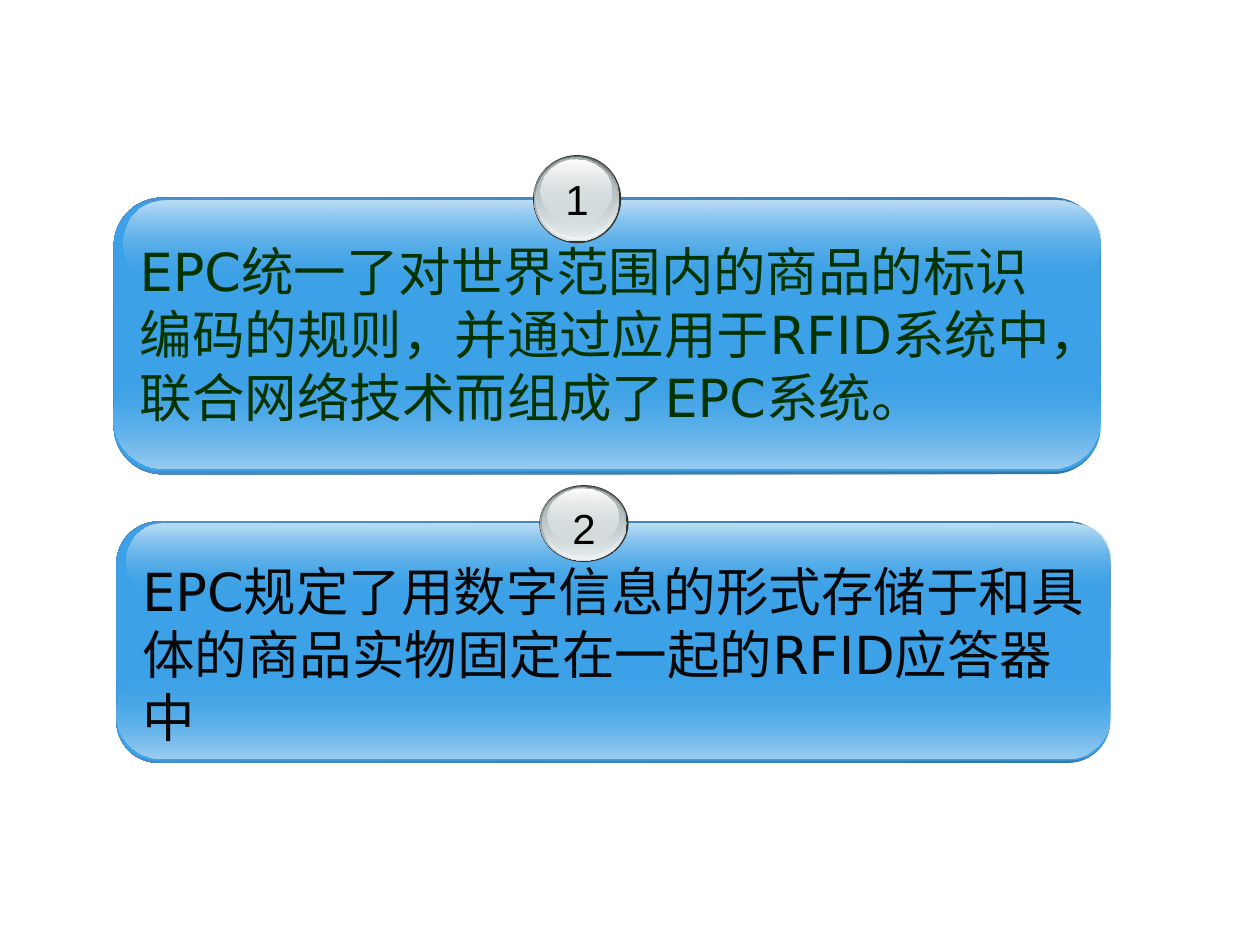
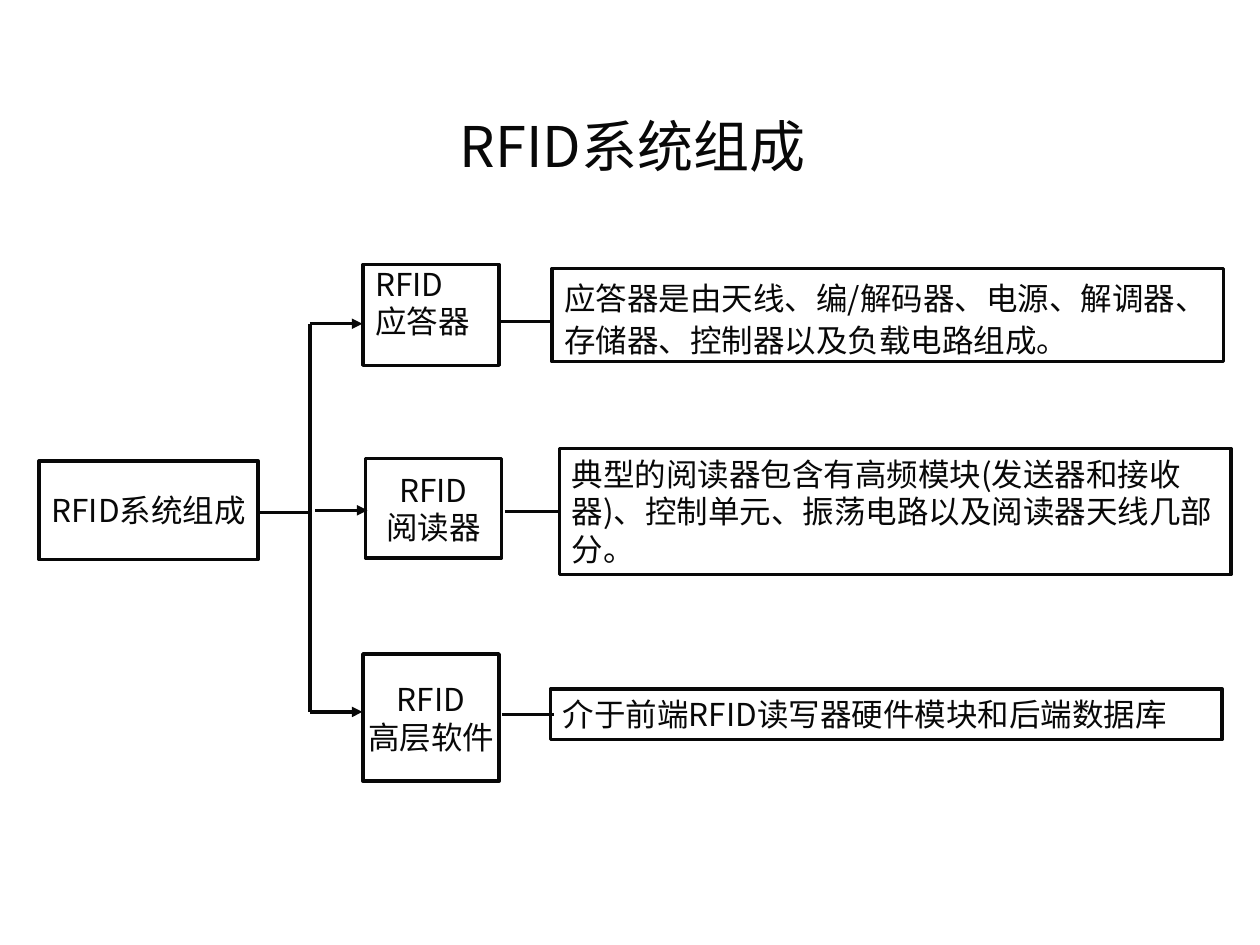
from dataclasses import dataclass

from lxml import etree
from pptx import Presentation
from pptx import util as u
from pptx.dml.color import RGBColor
from pptx.enum import shapes, text
from pptx.oxml.ns import qn

Pt = u.Pt
LEFT, CENTER = text.PP_ALIGN.LEFT, text.PP_ALIGN.CENTER
TOP, MIDDLE = text.MSO_ANCHOR.TOP, text.MSO_ANCHOR.MIDDLE
RECT = shapes.MSO_SHAPE.RECTANGLE
ROUND = shapes.MSO_SHAPE.ROUNDED_RECTANGLE
OVAL = shapes.MSO_SHAPE.OVAL


@dataclass(frozen=True)
class Theme:
    ink: str = "080808"
    green: str = "003300"
    black: str = "000000"
    card_font: str = "DejaVu Sans"
    number_font: str = "Arial"
    diagram_font: str = "Noto Sans CJK JP"
    title_size: float = 32
    card_size: float = 30
    number_size: float = 24
    body_size: float = 18
    line_width: float = 2
    line_pitch: float = 1.2


@dataclass(frozen=True)
class Gradient:
    """Two colours, their opacity in percent, and a counter-clockwise angle."""
    start: str
    end: str
    start_opacity: int = 100
    end_opacity: int = 100
    angle: int = 270


# Layers from back to front: left, top, width, height as shares of the whole.
PANEL_LAYERS = [
    ((0, 0, 1, 1), 0.175, Gradient("3477A4", "4E91D4", angle=135)),
    ((0, 0.01, 1, 0.98), 0.167, "3CA1E6"),
    ((0, 0.61, 1, 0.37), 0.5, Gradient("3CA1E6", "9ACDF1", start_opacity=0)),
    ((0.01, 0.01, 0.99, 0.3), 0.5, Gradient("BDDEF5", "3CA1E6", end_opacity=0)),
]
BADGE_LAYERS = [
    ((0, 0, 1, 1), None, "333333"),
    ((0.01, 0.01, 0.97, 0.97), None, Gradient("626768", "D6E1E2")),
    ((0.03, 0.02, 0.94, 0.94), None, Gradient("D6E1E2", "EFF3F3", start_opacity=0)),
    ((0.04, 0.03, 0.9, 0.89), None, Gradient("A8B1B2", "D6E1E2", end_opacity=48)),
    ((0.09, 0.05, 0.8, 0.72), None, Gradient("FEFEFE", "D6E1E2", end_opacity=38)),
]


class Deck:
    def __init__(self, theme):
        self.theme = theme
        self.prs = Presentation()
        self.prs.slide_width, self.prs.slide_height = Pt(720), Pt(540)
        self.slide = None

    def new_slide(self, layout):
        self.slide = self.prs.slides.add_slide(self.prs.slide_layouts.get_by_name(layout))

    def set_text(self, sp, lines, size, font, color=None, align=LEFT, anchor=TOP,
                 wrap=True, pitch=None, inset_top=3.6):
        tf = sp.text_frame
        tf.word_wrap, tf.vertical_anchor = wrap, anchor
        tf.auto_size = text.MSO_AUTO_SIZE.NONE
        tf.margin_left = tf.margin_right = Pt(7.2)
        tf.margin_top, tf.margin_bottom = Pt(inset_top), Pt(3.6)
        tf.text = "\n".join(lines)
        for p in tf.paragraphs:
            p.alignment = align
            p.space_before = Pt(0)
            p.line_spacing = Pt(pitch or size * self.theme.line_pitch)
            p.font.size, p.font.name = Pt(size), font
            p.font.color.rgb = RGBColor.from_string(color or self.theme.ink)

    def title(self, words, box):
        sp = self.slide.shapes.title
        sp.left, sp.top, sp.width, sp.height = map(Pt, box)
        self.set_text(sp, [words], self.theme.title_size, self.theme.diagram_font,
                      align=CENTER, anchor=MIDDLE)

    def textbox(self, words, box, size, font, **style):
        sp = self.slide.shapes.add_textbox(*map(Pt, box))
        self.set_text(sp, [words], size, font, **style)

    def shape(self, kind, box):
        sp = self.slide.shapes.add_shape(kind, *map(Pt, box))
        sp.shadow.inherit = False
        return sp

    def paint(self, sp, fill):
        if isinstance(fill, str):
            sp.fill.solid()
            sp.fill.fore_color.rgb = RGBColor.from_string(fill)
            return
        sp.fill.gradient()
        sp.fill.gradient_angle = fill.angle
        for stop, color in zip(sp.fill.gradient_stops, (fill.start, fill.end)):
            stop.color.rgb = RGBColor.from_string(color)
        colors = sp.element.spPr.iter(qn("a:srgbClr"))
        for clr, opacity in zip(colors, (fill.start_opacity, fill.end_opacity)):
            if opacity < 100:
                etree.SubElement(clr, qn("a:alpha"), val=str(opacity * 1000))

    def layers(self, kind, box, stack):
        """Stack borderless shapes, each placed by its share of the box."""
        left, top, width, height = box
        for (x, y, w, h), rounding, fill in stack:
            sp = self.shape(kind, (left + x * width, top + y * height,
                                   w * width, h * height))
            sp.line.fill.background()
            self.paint(sp, fill)
            if rounding:
                sp.adjustments[0] = rounding

    def card(self, number, words, color, panel, badge, number_top, words_box):
        t = self.theme
        self.layers(ROUND, panel, PANEL_LAYERS)
        self.layers(OVAL, badge, BADGE_LAYERS)
        left, _, width, _ = badge
        self.textbox(number, (left + width / 2 - 13.7, number_top, 27.4, 36),
                     t.number_size, t.number_font, color=t.black,
                     align=CENTER, wrap=False)
        self.textbox(words, words_box, t.card_size, t.card_font, color=color)

    def outlined_box(self, lines, box, **style):
        sp = self.shape(RECT, box)
        sp.fill.background()
        sp.line.color.rgb = RGBColor.from_string(self.theme.ink)
        sp.line.width = Pt(self.theme.line_width)
        self.set_text(sp, lines, self.theme.body_size, self.theme.diagram_font, **style)

    def line(self, x1, y1, x2, y2, arrow=False):
        c = self.slide.shapes.add_connector(
            shapes.MSO_CONNECTOR.STRAIGHT, *map(Pt, (x1, y1, x2, y2)))
        c.line.color.rgb = RGBColor.from_string(self.theme.ink)
        c.line.width = Pt(self.theme.line_width)
        spPr = c.element.spPr
        if arrow:
            etree.SubElement(spPr.find(qn("a:ln")), qn("a:tailEnd"), type="triangle")
        etree.SubElement(spPr, qn("a:effectLst"))


def build_epc_cards(deck):
    deck.new_slide("Blank")
    deck.card("1", "EPC统一了对世界范围内的商品的标识编码的规则，并通过应用于RFID系统中，"
              "联合网络技术而组成了EPC系统。", deck.theme.green,
              panel=(65, 113, 564, 158), badge=(304.6, 88.6, 50.4, 50.4),
              number_top=95.8, words_box=(72.7, 133.2, 548.6, 115.2))
    deck.card("2", "EPC规定了用数字信息的形式存储于和具体的商品实物固定在一起的RFID应答器中",
              deck.theme.ink,
              panel=(66.5, 298, 568, 138), badge=(308.2, 277.2, 51, 44),
              number_top=283.7, words_box=(74.2, 316, 553, 115.2))


def build_rfid_tree(deck):
    deck.new_slide("Title Only")
    deck.title("RFID系统组成", (218, 60.5, 287.3, 45.4))

    centered = dict(align=CENTER, anchor=MIDDLE, wrap=False)
    deck.outlined_box(["RFID系统组成"], (22.3, 263.5, 125.3, 56.2), **centered)
    parts = [
        ("应答器", (207.4, 151.2, 77.8, 57.6), dict(inset_top=0)),
        ("阅读器", (208.8, 262, 77.8, 56.9), centered),
        ("高层软件", (207.4, 373.7, 77.8, 72.7), centered),
    ]
    for name, box, style in parts:
        deck.outlined_box(["RFID", name], box, **style)

    details = [
        ("应答器是由天线、编/解码器、电源、解调器、存储器、控制器以及负载电路组成。",
         (315.4, 153.4, 383.8, 53.3), 24),
        ("典型的阅读器包含有高频模块(发送器和接收器)、控制单元、振荡电路以及阅读器天线几部分。",
         (319.7, 256.3, 383.8, 72), None),
        ("介于前端RFID读写器硬件模块和后端数据库", (314.6, 393.8, 383.8, 28.8), None),
    ]
    for words, box, pitch in details:
        deck.outlined_box([words], box, pitch=pitch)

    trunk, first, last = 177.1, 185, 406.8
    deck.line(trunk, first, trunk, last)
    deck.line(147.6, 293, trunk, 293)
    for x, y in ((trunk, first), (180, 291.6), (trunk, last)):
        deck.line(x, y, x + 30, y, arrow=True)
    for x, y in ((285.1, 183.6), (288.7, 292.3), (286.6, 408.2)):
        deck.line(x, y, x + 30.2, y)


def main():
    deck = Deck(Theme())
    build_epc_cards(deck)
    build_rfid_tree(deck)
    deck.prs.save("out.pptx")


if __name__ == "__main__":
    main()
